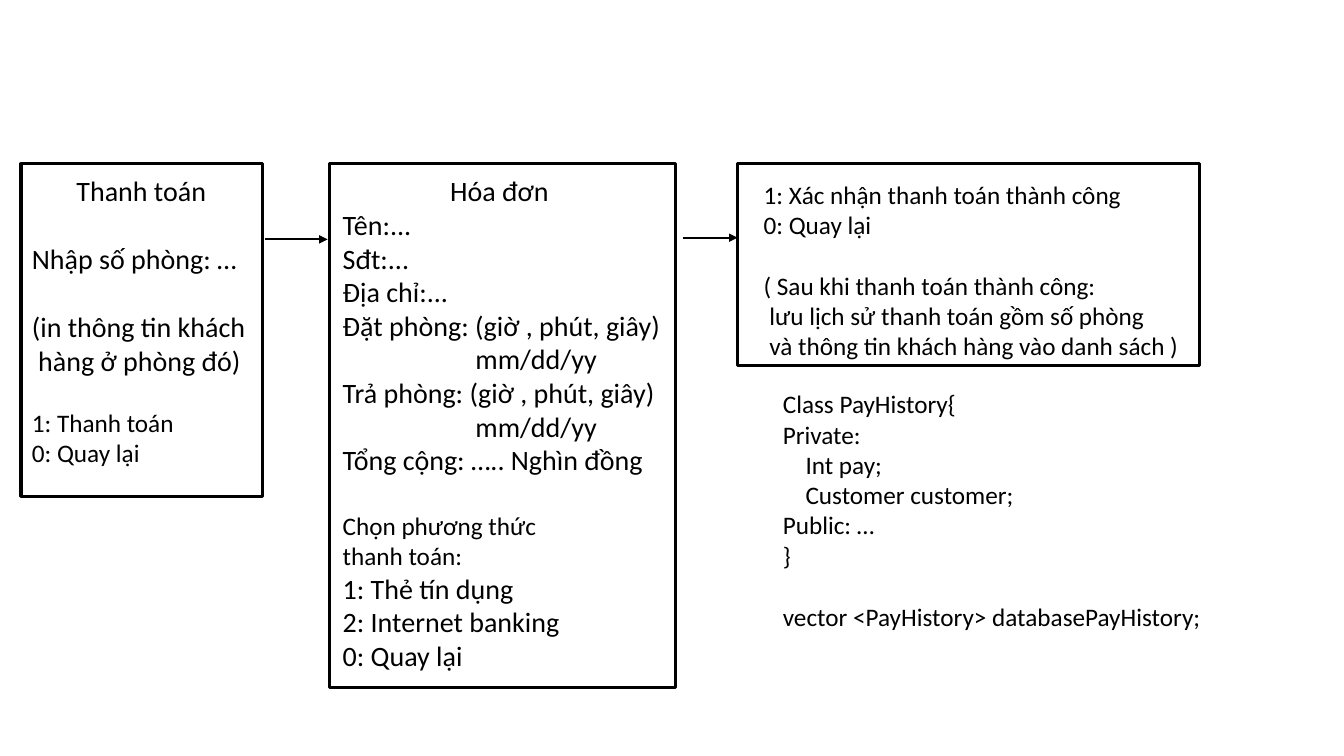
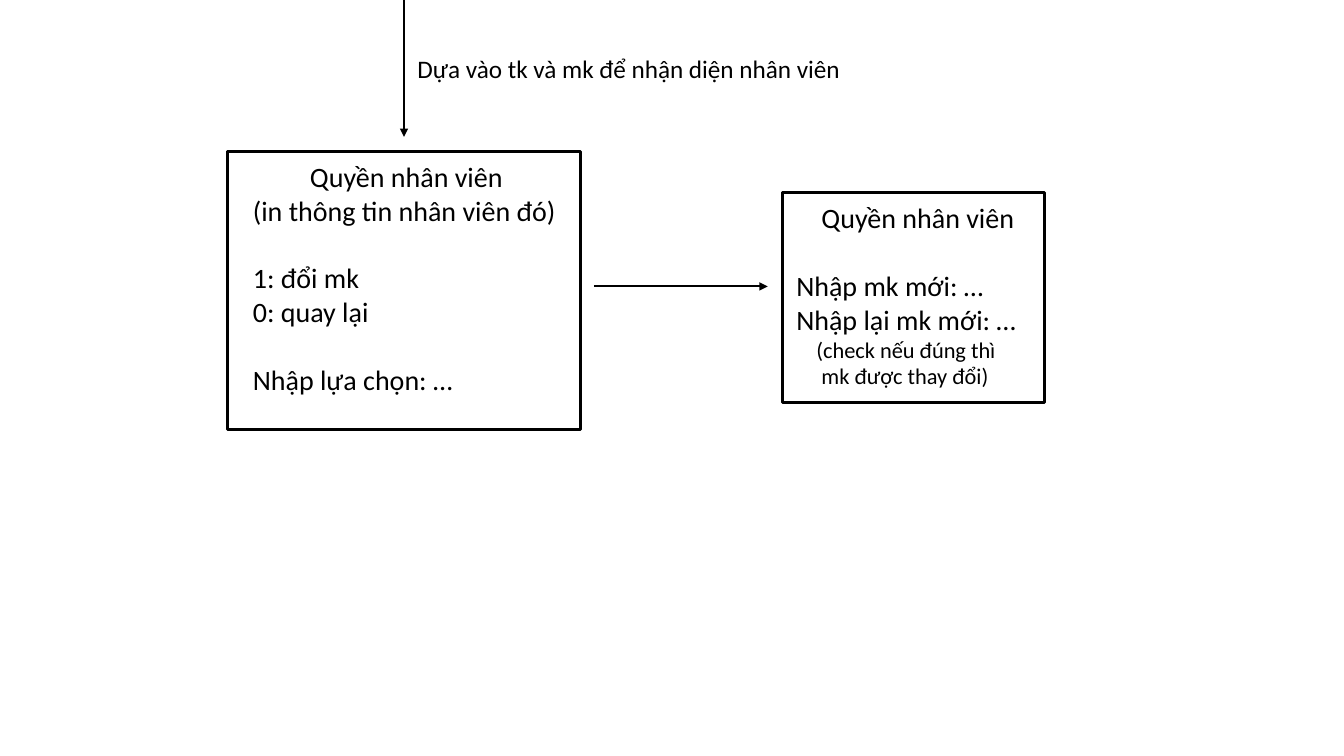
"""Build two slides of console screens: hotel payment and staff rights."""
from lxml.etree import SubElement
from pptx import Presentation
from pptx.dml.color import RGBColor
from pptx.enum.shapes import MSO_CONNECTOR as Connector, MSO_SHAPE as Preset
from pptx.enum.text import MSO_ANCHOR as Anchor, PP_ALIGN as Align
from pptx.oxml.ns import qn
from pptx.util import Inches, Pt

COLORS = {name: RGBColor.from_string(value) for name, value in {"ink": "000000", "paper": "FFFFFF"}.items()}
FONT = "Calibri"
COLUMNS, ROWS = 160, 90

deck = Presentation()
deck.slide_width, deck.slide_height = Inches(13.33), Inches(7.5)
column, row = deck.slide_width / COLUMNS, deck.slide_height / ROWS


def add_line(para, text, size=20, indent=0, gap=0):
    """Write one line; indent is in columns and gap is in blank lines."""
    para.alignment = Align.LEFT
    para.space_before = Pt(round(gap * size * 1.22, 1))
    para._p.get_or_add_pPr().set("marL", str(int(indent * column)))
    span = para.add_run()
    span.text = text
    span.font.name, span.font.size = FONT, Pt(size)
    span.font.color.rgb = COLORS["ink"]


def add_arrow(page, start, end):
    """Draw a straight arrow between two grid points."""
    (x1, y1), (x2, y2) = start, end
    arrow = page.shapes.add_connector(
        Connector.STRAIGHT, int(x1 * column), int(y1 * row), int(x2 * column), int(y2 * row))
    arrow.line.color.rgb, arrow.line.width = COLORS["ink"], Pt(1.5)
    SubElement(arrow.line._get_or_add_ln(), qn("a:tailEnd"), type="triangle")
    SubElement(arrow._element.spPr, qn("a:effectLst"))


SMALL = {"size": 18}
DATE = {"indent": 15.8}

payment = {
    "frames": [
        ((2.5, 19.5, 28.8, 39.6), (1.3, 1.2), [
            ("Thanh toán", {"indent": 5.3}),
            ("Nhập số phòng: …", {"gap": 1}),
            ("(in thông tin khách", {"gap": 1}),
            ("hàng ở phòng đó)", {"indent": 0.75}),
            ("1: Thanh toán", {**SMALL, "gap": 1}),
            ("0: Quay lại", SMALL),
        ]),
        ((39.2, 19.5, 41.2, 62.4), (1.6, 1.2), [
            ("Hóa đơn", {"indent": 12.8}),
            ("Tên:...", {}),
            ("Sđt:...", {}),
            ("Địa chỉ:...", {}),
            ("Đặt phòng: (giờ , phút, giây)", {}),
            ("mm/dd/yy", DATE),
            ("Trả phòng: (giờ , phút, giây)", {}),
            ("mm/dd/yy", DATE),
            ("Tổng cộng: ….. Nghìn đồng", {}),
            ("Chọn phương thức", {**SMALL, "gap": 1.11}),
            ("thanh toán:", SMALL),
            ("1: Thẻ tín dụng", {}),
            ("2: Internet banking", {}),
            ("0: Quay lại", {}),
        ]),
        ((87.8, 19.5, 55, 24), (3.1, 1.8), [
            ("1: Xác nhận thanh toán thành công", SMALL),
            ("0: Quay lại", SMALL),
            ("( Sau khi thanh toán thành công:", {**SMALL, "gap": 1}),
            ("lưu lịch sử thanh toán gồm số phòng", {**SMALL, "indent": 0.7}),
            ("và thông tin khách hàng vào danh sách )", {**SMALL, "indent": 0.7}),
        ]),
    ],
    "notes": [
        ((92, 45.7, 52.1, 30), (1.2, 0.6), [
            ("Class PayHistory{", SMALL),
            ("Private:", SMALL),
            ("Int pay;", {**SMALL, "indent": 2.7}),
            ("Customer customer;", {**SMALL, "indent": 2.7}),
            ("Public: …", SMALL),
            ("}", SMALL),
            ("vector <PayHistory> databasePayHistory;", {**SMALL, "gap": 1}),
        ]),
    ],
    "arrows": [((31.6, 28.5), (39, 28.5)), ((81.3, 28.3), (87.8, 28.3))],
}

staff = {
    "frames": [
        ((27.1, 18, 42, 33.1), (3, 1), [
            ("Quyền nhân viên", {"indent": 6.8}),
            ("(in thông tin nhân viên đó)", {}),
            ("1: đổi mk", {"gap": 1}),
            ("0: quay lại", {}),
            ("Nhập lựa chọn: …", {"gap": 1}),
        ]),
        ((93.2, 22.9, 31.2, 25), (1.6, 1), [
            ("Quyền nhân viên", {"indent": 3}),
            ("Nhập mk mới: …", {"gap": 1}),
            ("Nhập lại mk mới: …", {}),
            ("(check nếu đúng thì", {"size": 16, "indent": 2.4}),
            ("mk được thay đổi)", {"size": 16, "indent": 3}),
        ]),
    ],
    "notes": [
        ((48.5, 5.8, 52.7, 4.8), (1.2, 0.6), [("Dựa vào tk và mk để nhận diện nhân viên", SMALL)]),
    ],
    "arrows": [((48.1, 0), (48.1, 16.3)), ((70.7, 34.1), (91.4, 34.1))],
}

for content in (payment, staff):
    page = deck.slides.add_slide(deck.slide_layouts[6])
    for kind in ("frames", "notes"):
        for (left, top, width, height), (inset_left, inset_top), lines in content[kind]:
            place = int(left * column), int(top * row), int(width * column), int(height * row)
            if kind == "frames":
                box = page.shapes.add_shape(Preset.RECTANGLE, *place)
                box.shadow.inherit = False
                box.fill.solid()
                box.fill.fore_color.rgb = COLORS["paper"]
                box.line.color.rgb, box.line.width = COLORS["ink"], Pt(2.25)
            else:
                box = page.shapes.add_textbox(*place)
            frame = box.text_frame
            frame.word_wrap, frame.vertical_anchor = True, Anchor.TOP
            frame.margin_left, frame.margin_top = int(inset_left * column), int(inset_top * row)
            frame.margin_right = frame.margin_bottom = 0
            for number, (text, style) in enumerate(lines):
                para = frame.add_paragraph() if number else frame.paragraphs[0]
                add_line(para, text, **style)
    for start, end in content["arrows"]:
        add_arrow(page, start, end)

deck.save("out.pptx")
